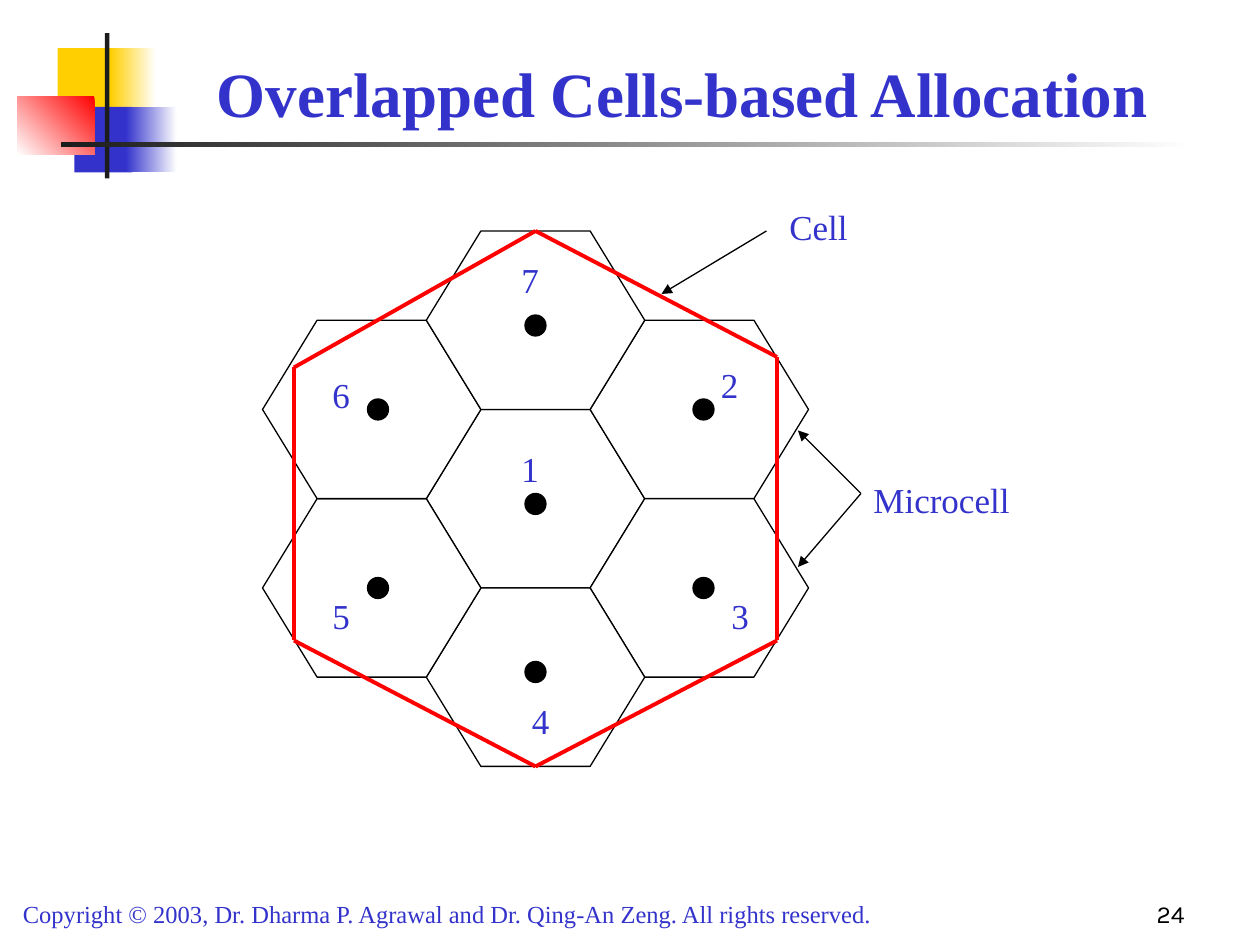
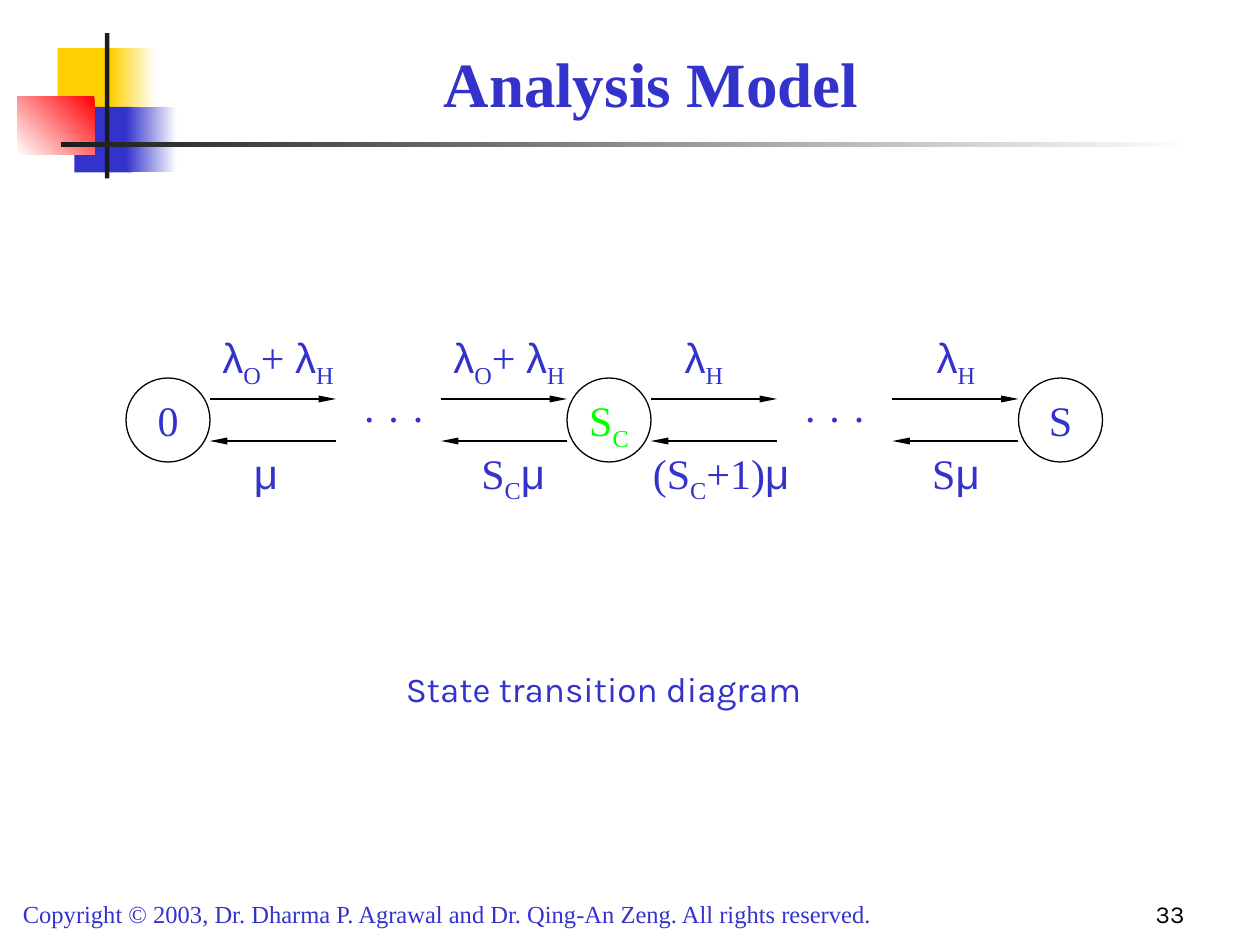
from dataclasses import dataclass
from itertools import pairwise
from typing import Any

from lxml import etree
from pptx import Presentation
from pptx.dml.color import RGBColor
from pptx.enum import shapes, text
from pptx.oxml import ns
from pptx.util import Pt

BLUE, GOLD, RED, DARK = "3333CC", "FFCF01", "FF0000", "1C1C1C"
BLACK, WHITE, GREEN = "000000", "FFFFFF", "00FF00"
SERIF, SANS, GREEK = "Times New Roman", "Karla", "Arial"
LEFT, MID, RIGHT = text.PP_ALIGN.LEFT, text.PP_ALIGN.CENTER, text.PP_ALIGN.RIGHT
LOW = {"vertical_anchor": text.MSO_ANCHOR.BOTTOM}
KIND = shapes.MSO_SHAPE
COPY = ("Copyright © 2003, Dr. Dharma P. Agrawal and Dr. Qing-An Zeng. "
        "All rights reserved.")

Box = tuple[float, float, float, float]
Spot = tuple[float, float]


@dataclass(frozen=True)
class Style:
    size: float = 20
    font: str = SERIF
    color: str = BLUE
    bold: bool = False
    align: Any = MID


@dataclass(frozen=True)
class Band:
    box: Box
    color: str
    fade: float | None = None  # angle of the fade to white


@dataclass(frozen=True)
class Cell:
    name: str
    col: int
    row: int
    dot: Spot
    label: Spot


@dataclass(frozen=True)
class Step:
    """A pair of arrows, with the rates above and below it."""
    left: float
    up: str
    down: str
    inset: float
    low: float
    wide: float


@dataclass(frozen=True)
class State:
    left: float
    name: str
    color: str = BLUE


TITLE = Style(36, bold=True)
NOTE = Style(align=LEFT)
FOOT = Style(14, align=LEFT)
PAGE = Style(14, SANS, BLACK, align=RIGHT)
MATH = Style(24)
RATE = Style(24, align=LEFT)

BANDS = [
    Band((33, 27.5, 34.5, 37.5), GOLD),
    Band((63, 27.5, 26, 37.5), GOLD, 0),
    Band((42.5, 61, 33, 37.5), BLUE),
    Band((72, 61, 29, 37.5), BLUE, 0),
    Band((10, 55, 44, 33.5), RED, 225),
    Band((60, 19, 2.5, 83), DARK),
    Band((35, 81.2, 648, 2.6), DARK, 0),
]

HUB = (306, 285)
WIDE, HIGH, DOT = 124.8, 102, 12
CELLS = [
    Cell("1", 0, 0, (306, 288), (288, 252)),
    Cell("2", 1, -1, (402, 234), (402, 204)),
    Cell("3", 1, 1, (402, 336), (408, 336)),
    Cell("4", 0, 2, (306, 384), (294, 396)),
    Cell("5", -1, 1, (216, 336), (180, 336)),
    Cell("6", -1, -1, (216, 234), (180, 210)),
    Cell("7", 0, -2, (306, 186), (288, 144)),
]
RING = [(306, 132), (444, 204), (444, 366), (306, 438), (168, 366), (168, 210)]

STATES = [State(72, "0"), State(324, "S|_C", GREEN), State(582, "S")]
STEPS = [
    Step(120, "λ|_O|+ |λ|_H", "μ", 0, 138, 32.4),
    Step(252, "λ|_O|+ |λ|_H", "S|_C|μ", 0, 268, 56),
    Step(372, "λ|_H", "(S|_C|+1)|μ", 12, 366, 102),
    Step(510, "λ|_H", "S|μ", 18, 525.6, 45),
]


def rgb(color: str) -> RGBColor:
    return RGBColor.from_string(color)


def apply(target: Any, values: dict[str, Any]) -> None:
    for key, value in values.items():
        setattr(target, key, value)


def shape(pool: Any, kind: Any, box: Box, fill: str | None,
          line: str | None = None) -> Any:
    item = pool.add_shape(kind, *map(Pt, box))
    item.shadow.inherit = False
    if fill:
        item.fill.solid()
        item.fill.fore_color.rgb = rgb(fill)
    else:
        item.fill.background()
    if line:
        item.line.color.rgb = rgb(line)
        item.line.width = Pt(0.75)
    else:
        item.line.fill.background()
    return item


def write(slide: Any, mark: str, box: Box, style: Style, **frame: Any) -> None:
    """Add a text box; "|" splits runs, and "_" opens a subscript run."""
    body = slide.shapes.add_textbox(*map(Pt, box)).text_frame
    apply(body, {"word_wrap": True} | frame)
    par = body.paragraphs[0]
    par.alignment = style.align
    for part in mark.split("|"):
        run = par.add_run()
        run.text = part.removeprefix("_")
        apply(run.font, {"size": Pt(style.size), "bold": style.bold,
                         "name": GREEK if part in "λμ" else style.font})
        run.font.color.rgb = rgb(style.color)
        if part.startswith("_"):
            run.font._element.set("baseline", "-25000")


def line(slide: Any, start: Spot, end: Spot, color: str = BLACK,
         width: float = 0.75, head: dict[str, str] | None = None) -> None:
    """Draw a line; head gives the width and length of an arrowhead at its end."""
    item = slide.shapes.add_connector(
        shapes.MSO_CONNECTOR.STRAIGHT, *map(Pt, start + end))
    item.line.width = Pt(width)
    item.line.color.rgb = rgb(color)
    props = item._element.spPr
    if head:
        etree.SubElement(props.get_or_add_ln(), ns.qn("a:tailEnd"),
                         type="triangle", **head)
    etree.SubElement(props, ns.qn("a:effectLst"))


def base(deck: Any, title: str, box: Box, page: str) -> Any:
    """Add a slide with the bands, title, footer and page number."""
    slide = deck.slides.add_slide(deck.slide_layouts[6])
    for band in BANDS:
        item = shape(slide.shapes, KIND.RECTANGLE, band.box, band.color)
        if band.fade is not None:
            item.fill.gradient()
            item.fill.gradient_angle = band.fade
            for stop, color in zip(item.fill.gradient_stops, (band.color, WHITE)):
                stop.color.rgb = rgb(color)
    write(slide, COPY, (6, 510, 546, 24.5), FOOT)
    write(slide, title, box, TITLE, **LOW)
    write(slide, page, (534, 498, 150, 36), PAGE, **LOW)
    return slide


def cells(deck: Any) -> None:
    slide = base(deck, "Overlapped Cells-based Allocation", (84, 12, 612, 66), "24")
    group = slide.shapes.add_group_shape()
    for cell in CELLS:
        left = HUB[0] + cell.col * WIDE * 0.75 - WIDE / 2
        top = HUB[1] + cell.row * HIGH / 2 - HIGH / 2
        item = shape(group.shapes, KIND.HEXAGON, (left, top, WIDE, HIGH),
                     WHITE, BLACK)
        item.adjustments[0] = 0.306
    for start, end in pairwise(RING + RING[:1]):
        line(slide, start, end, RED, 2.25)
    for cell in CELLS:
        x, y = cell.dot
        shape(slide.shapes, KIND.OVAL, (x - DOT / 2, y - DOT / 2, DOT, DOT),
              BLACK, BLACK)
        write(slide, cell.name, (*cell.label, 30, 31.5), Style())
    head = {"w": "med", "len": "med"}
    write(slide, "Cell", (444, 114, 108, 31.5), NOTE)
    line(slide, (438, 132), (378, 168), head=head)
    write(slide, "Microcell", (492, 270, 96, 31.5), NOTE)
    for y in (246, 324):
        line(slide, (492, 282), (456, y), head=head)


def model(deck: Any) -> None:
    slide = base(deck, "Analysis Model", (66, 18, 612, 54), "33")
    for state in STATES:
        shape(slide.shapes, KIND.OVAL, (state.left, 216, 48, 48), None, BLACK)
        write(slide, state.name, (state.left + 3, 222, 42, 36),
              Style(24, color=state.color))
    head = {"w": "sm", "len": "lg"}
    for step in STEPS:
        left, right = step.left, step.left + 72
        line(slide, (left, 228), (right, 228), head=head)
        line(slide, (right, 252), (left, 252), head=head)
        write(slide, step.up, (left, 186, 90, 40), RATE,
              margin_left=Pt(7.2 + step.inset))
        write(slide, step.down, (step.low, 252, step.wide, 40), RATE)
    for left in (198, 450):
        write(slide, "· · ·", (left, 220.5, 54, 36), MATH)
    write(slide, "State transition diagram", (108, 378, 474, 31.5),
          Style(font=SANS))


def main() -> None:
    deck = Presentation()
    apply(deck, {"slide_width": Pt(720), "slide_height": Pt(540)})
    cells(deck)
    model(deck)
    deck.save("out.pptx")


if __name__ == "__main__":
    main()
